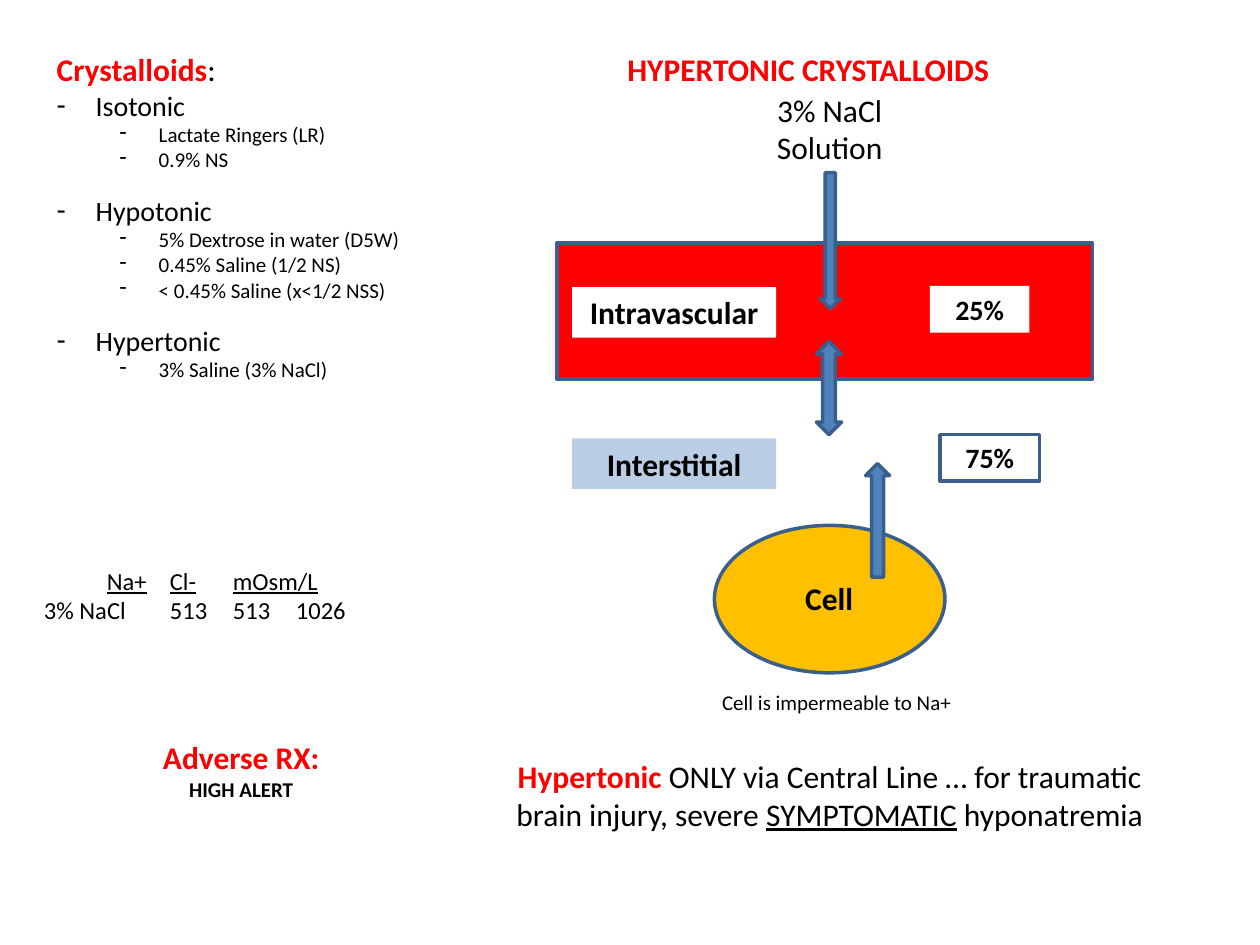
from dataclasses import dataclass

from lxml import etree
from pptx import Presentation
from pptx import util as u
from pptx.dml.color import RGBColor
from pptx.enum import shapes, text
from pptx.oxml.ns import qn

RED, BLACK, WHITE = "FF0000", "000000", "FFFFFF"
BLUE, EDGE, PALE, GOLD = "4F81BD", "3A5F8C", "B9CDE5", "FFC000"
LEFT, MID = text.PP_ALIGN.LEFT, text.PP_ALIGN.CENTER


@dataclass
class Run:
    words: str
    color: str | None = None
    bold: bool | None = None
    under: bool | None = None


@dataclass
class Para:
    runs: str | list[Run]
    size: float = 18
    color: str = BLACK
    bold: bool = False
    align: text.PP_ALIGN = MID
    level: int = 0
    indent: float = 0
    gap: float = 0
    tabs: tuple[float, ...] = ()


@dataclass
class Box:
    at: tuple[float, float, float, float]
    paras: list[Para]
    fill: str | None = None
    line: str | None = None


@dataclass
class Form:
    kind: shapes.MSO_SHAPE
    at: tuple[float, float, float, float]
    fill: str


def rgb(code: str) -> RGBColor:
    return RGBColor.from_string(code)


def paint(shape, fill: str | None, line: str | None) -> None:
    if fill:
        shape.fill.solid()
        shape.fill.fore_color.rgb = rgb(fill)
    if line:
        shape.line.color.rgb = rgb(line)
        shape.line.width = u.Pt(2)


def style(font, item: Para | Run) -> None:
    if item.color:
        font.color.rgb = rgb(item.color)
    if item.bold is not None:
        font.bold = item.bold


def mark(para, item: Para) -> None:
    """Set the indent, dash bullet and tab stops of a paragraph."""
    props = para._p.get_or_add_pPr()
    props.set("marL", str(u.Inches(item.indent)))
    props.set("indent", str(u.Inches(-0.31 if item.indent else 0)))
    if item.indent:
        etree.SubElement(props, qn("a:buFontTx"))
        etree.SubElement(props, qn("a:buChar"), char="-")
    else:
        etree.SubElement(props, qn("a:buNone"))
    if item.tabs:
        stops = etree.SubElement(props, qn("a:tabLst"))
        for stop in item.tabs:
            etree.SubElement(stops, qn("a:tab"), pos=str(u.Inches(stop)), algn="l")


def write(frame, paras: list[Para]) -> None:
    frame.word_wrap = True
    frame.auto_size = text.MSO_AUTO_SIZE.NONE
    frame.vertical_anchor = text.MSO_ANCHOR.TOP
    for i, item in enumerate(paras):
        para = frame.add_paragraph() if i else frame.paragraphs[0]
        para.level = item.level
        mark(para, item)
        para.alignment = item.align
        para.space_before = u.Pt(item.gap)
        para.font.name = "Calibri"
        para.font.size = u.Pt(item.size)
        style(para.font, item)
        runs = [Run(item.runs)] if isinstance(item.runs, str) else item.runs
        for part in runs:
            run = para.add_run()
            run.text = part.words
            style(run.font, part)
            if part.under:
                run.font.underline = True


def place(shape, at: tuple[float, float, float, float]) -> None:
    shape.left, shape.top, shape.width, shape.height = map(u.Inches, at)


def draw_form(slide, form: Form) -> None:
    shape = slide.shapes.add_shape(form.kind, *map(u.Inches, form.at))
    shape.shadow.inherit = False
    paint(shape, form.fill, EDGE)


def draw_box(slide, box: Box) -> None:
    shape = slide.shapes.add_textbox(*map(u.Inches, box.at))
    paint(shape, box.fill, box.line)
    write(shape.text_frame, box.paras)


def fluids() -> list[Para]:
    groups = {
        "Isotonic": ["Lactate Ringers (LR)", "0.9% NS"],
        "Hypotonic": ["5% Dextrose in water (D5W)", "0.45% Saline (1/2 NS)",
                      "< 0.45% Saline (x<1/2 NSS)"],
        "Hypertonic": ["3% Saline (3% NaCl)"],
    }
    paras = [Para([Run("Crystalloids", RED, True), Run(":")], align=LEFT)]
    for i, (name, items) in enumerate(groups.items()):
        paras.append(Para(name, 16, align=LEFT, indent=0.31, gap=12 if i else 0))
        paras += [Para(item, 12, align=LEFT, level=1, indent=0.81) for item in items]
    return paras


def label(words: str, size: float = 18) -> list[Para]:
    return [Para(words, size, bold=True)]


KIND = shapes.MSO_SHAPE
FORMS = [
    Form(KIND.RECTANGLE, (4.42, 1.93, 4.25, 1.08), RED),
    Form(KIND.OVAL, (5.67, 4.17, 1.83, 1.17), GOLD),
    Form(KIND.DOWN_ARROW, (6.51, 1.37, 0.16, 1.08), BLUE),
    Form(KIND.UP_DOWN_ARROW, (6.48, 2.71, 0.2, 0.74), BLUE),
    Form(KIND.UP_ARROW, (6.87, 3.68, 0.19, 0.9), BLUE),
]
BOXES = [
    # Compartments and their shares
    Box((6.29, 4.55, 0.58, 0.4), label("Cell")),
    Box((4.54, 2.28, 1.62, 0.4), label("Intravascular"), WHITE),
    Box((4.54, 3.48, 1.62, 0.4), label("Interstitial"), PALE),
    Box((7.38, 2.27, 0.79, 0.37), label("25%", 16), WHITE),
    Box((7.46, 3.45, 0.79, 0.37), label("75%", 16), WHITE, EDGE),
    # Captions
    Box((5.92, 0.67, 1.33, 0.71), [Para("3% NaCl"), Para("Solution")]),
    Box((5.58, 5.42, 2.12, 0.3), [Para("Cell is impermeable to Na+", 12)]),
    Box((4, 5.96, 5.17, 1.01), [Para([
        Run("Hypertonic", RED, True),
        Run(" ONLY via Central Line … for traumatic brain injury, severe "),
        Run("SYMPTOMATIC", under=True), Run(" hyponatremia")])]),
    # Ion content
    Box((0.25, 4.44, 3.08, 0.57), [
        Para([Run("\t"), Run("Na+\tCl-\tmOsm/L", under=True)], 14,
             align=LEFT, tabs=(0.88, 1.55, 2.11)),
        Para("3% NaCl\t513\t513\t1026", 14, align=LEFT, tabs=(0.87, 1.48, 2.17))]),
    # Warning
    Box((1.08, 5.81, 1.67, 0.61), [
        Para("Adverse RX:", color=RED, bold=True),
        Para("HIGH ALERT", 12, bold=True)]),
]


def main() -> None:
    deck = Presentation()
    deck.slide_width, deck.slide_height = u.Inches(10), u.Inches(7.5)
    slide = deck.slides.add_slide(deck.slide_layouts[1])

    # Title and list of fluids
    title, body = slide.placeholders
    place(title, (4.83, 0.35, 3.17, 0.4))
    write(title.text_frame, [Para("HYPERTONIC CRYSTALLOIDS", color=RED, bold=True)])
    place(body, (0.35, 0.35, 3.17, 2.76))
    write(body.text_frame, fluids())

    # Diagram, then the words over it
    for form in FORMS:
        draw_form(slide, form)
    for box in BOXES:
        draw_box(slide, box)
    deck.save("out.pptx")


if __name__ == "__main__":
    main()
